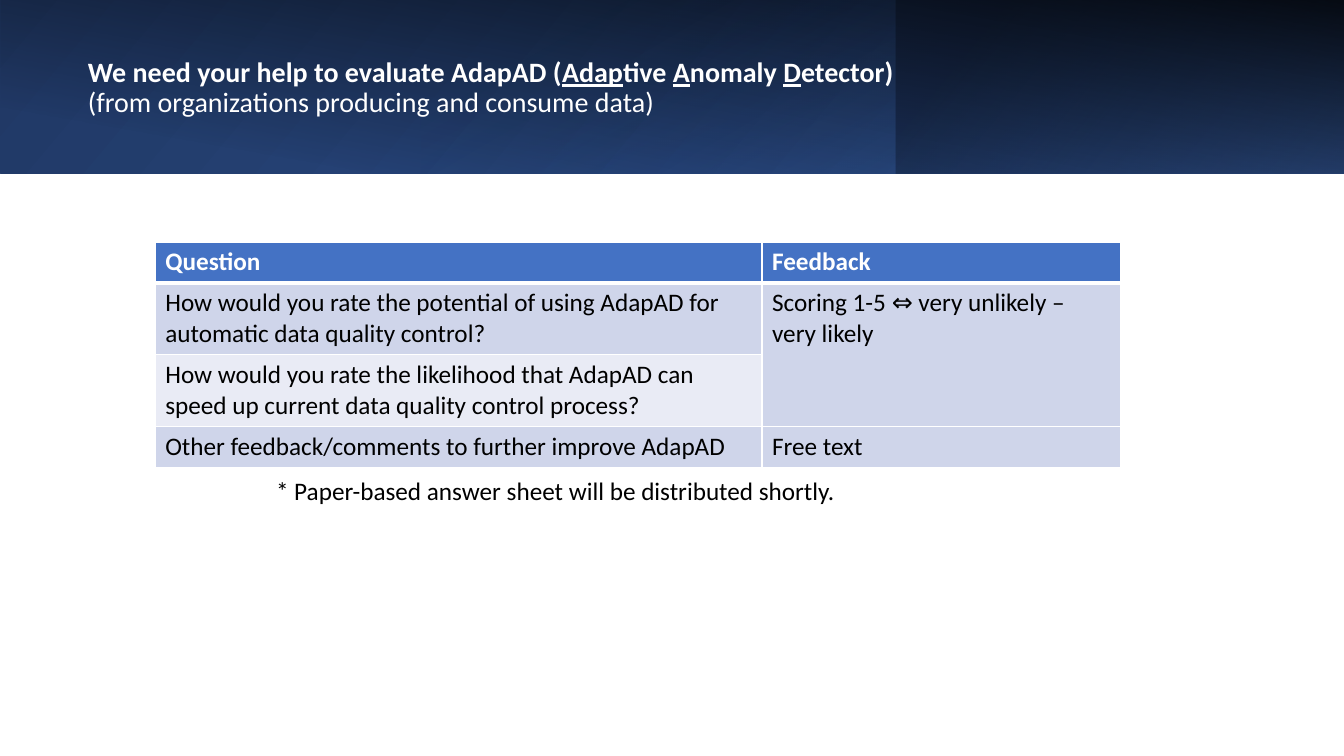
"""Build the AdapAD feedback slide with a gradient title band and a question table."""
import copy
import pptx
import pptx.util
import pptx.dml.color
import pptx.enum.shapes
import pptx.enum.text
import pptx.oxml
import pptx.oxml.ns

RGBColor = pptx.dml.color.RGBColor
WHITE = RGBColor(0xFF, 0xFF, 0xFF)
BLACK = RGBColor(0, 0, 0)
NAVY = RGBColor(0x20, 0x38, 0x64)
STEEL = RGBColor(0x2F, 0x55, 0x97)
BLUE = RGBColor(0x44, 0x72, 0xC4)
BAND_DARK = RGBColor(0xCF, 0xD5, 0xEA)
BAND_LIGHT = RGBColor(0xE9, 0xEB, 0xF5)

prs = pptx.Presentation()
prs.slide_width = W = pptx.util.Inches(13.33)
prs.slide_height = H = pptx.util.Inches(7.5)
s = prs.slides.add_slide(prs.slide_layouts[5])


def box(x, y, w, h):
    """Turn percentages of the slide into left, top, width and height."""
    return [pptx.util.Emu(int(v * side / 100)) for v, side in ((x, W), (y, H), (w, W), (h, H))]


def write(p, text, size=18, color=BLACK, bold=False, underline=False):
    """Add a formatted run to a paragraph."""
    r = p.add_run()
    r.text = text
    f = r.font
    f.name, f.size, f.bold, f.underline = "Calibri", pptx.util.Pt(size), bold, underline
    f.color.rgb = color
    return r


BAND = 22.93
TURNED_W = BAND * H / W
TURNED_H = 100 * W / H
panels = [
    ((0, 0, 100, BAND), 0, True, 140, [(0, NAVY, 100), (100, STEEL, 100)]),
    ((66.67, 0, 33.33, BAND), 180, True, 320, [(19, NAVY, 68), (100, BLUE, 79)]),
    ((50 - TURNED_W / 2, (BAND - TURNED_H) / 2, TURNED_W, TURNED_H), 90, False, 190,
     [(16, BLACK, 0), (99, BLACK, 87)]),
    ((31.33, 0, 35.33, BAND), 0, False, 240, [(0, BLUE, 17), (74, NAVY, 0)]),
]
for place, rotation, flipped, angle, stops in panels:
    sp = s.shapes.add_shape(pptx.enum.shapes.MSO_SHAPE.RECTANGLE, *box(*place))
    sp.shadow.inherit = False
    sp.line.fill.background()
    sp.rotation = rotation
    xfrm = sp.element.spPr.find(pptx.oxml.ns.qn("a:xfrm"))
    if flipped:
        xfrm.set("flipH", "1")
    stop_xml = "".join(
        f'<a:gs pos="{pos * 1000}"><a:srgbClr val="{color}">'
        f'<a:alpha val="{alpha * 1000}"/></a:srgbClr></a:gs>'
        for pos, color, alpha in stops)
    sp.element.spPr.find(pptx.oxml.ns.qn("a:prstGeom")).addnext(pptx.oxml.parse_xml(
        f'<a:gradFill {pptx.oxml.ns.nsdecls("a")} rotWithShape="1"><a:gsLst>{stop_xml}</a:gsLst>'
        f'<a:lin ang="{angle * 60000}" scaled="0"/></a:gradFill>'))

title = s.shapes.title
title.element.getparent().append(title.element)
title.left, title.top, title.width, title.height = box(5.78, 5.2, 76.13, 13.07)
tf = title.text_frame
tf.word_wrap = True
tf.auto_size = pptx.enum.text.MSO_AUTO_SIZE.NONE
tf.vertical_anchor = pptx.enum.text.MSO_ANCHOR.MIDDLE
p = tf.paragraphs[0]
p.alignment = pptx.enum.text.PP_ALIGN.LEFT
p.line_spacing = 0.9
heading = ["We need your help to evaluate AdapAD (", "Adap", "tive ", "A", "nomaly ", "D", "etector)"]
for i, part in enumerate(heading):
    r = write(p, part, 20, WHITE, bold=True, underline=i % 2 == 1)
p.add_line_break()
p.runs[-1]._r.getnext().append(copy.deepcopy(r.font._element))
write(p, "(from organizations producing and consume data)", 20, WHITE)

rows = [
    ("Question", "Feedback"),
    ("How would you rate the potential of using AdapAD for automatic data quality control?",
     "Scoring 1-5 ⇔ very unlikely – very likely"),
    ("How would you rate the likelihood that AdapAD can speed up current data quality control process?", ""),
    ("Other feedback/comments to further improve AdapAD", "Free text"),
]
fills = [BLUE, BAND_DARK, BAND_LIGHT, BAND_DARK]
table = s.shapes.add_table(4, 2, *box(11.55, 32, 71.85, 29.6)).table
for column, share in zip(table.columns, (45.15, 26.7)):
    column.width = int(share * W / 100)
for row, share in zip(table.rows, (5.4, 9.5, 9.5, 5.4)):
    row.height = int(share * H / 100)
for i, texts in enumerate(rows):
    for j, text in enumerate(texts):
        cell = table.cell(i, j)
        if text:
            write(cell.text_frame.paragraphs[0], text, color=BLACK if i else WHITE, bold=i == 0)
        tcPr = cell._tc.get_or_add_tcPr()
        for side in ("lnL", "lnR", "lnT", "lnB"):
            points = 3 if (i, side) in ((0, "lnB"), (1, "lnT")) else 1
            tcPr.append(pptx.oxml.parse_xml(
                f'<a:{side} {pptx.oxml.ns.nsdecls("a")} w="{pptx.util.Pt(points)}">'
                f'<a:solidFill><a:srgbClr val="{WHITE}"/></a:solidFill></a:{side}>'))
        cell.fill.solid()
        cell.fill.fore_color.rgb = fills[i]
table.cell(1, 1).merge(table.cell(2, 1))

note = s.shapes.add_textbox(*box(19.8, 62.27, 80.2, 5.33)).text_frame
note.word_wrap = True
note.auto_size = pptx.enum.text.MSO_AUTO_SIZE.SHAPE_TO_FIT_TEXT
write(note.paragraphs[0], "* Paper-based answer sheet will be distributed shortly.")

prs.save("out.pptx")
